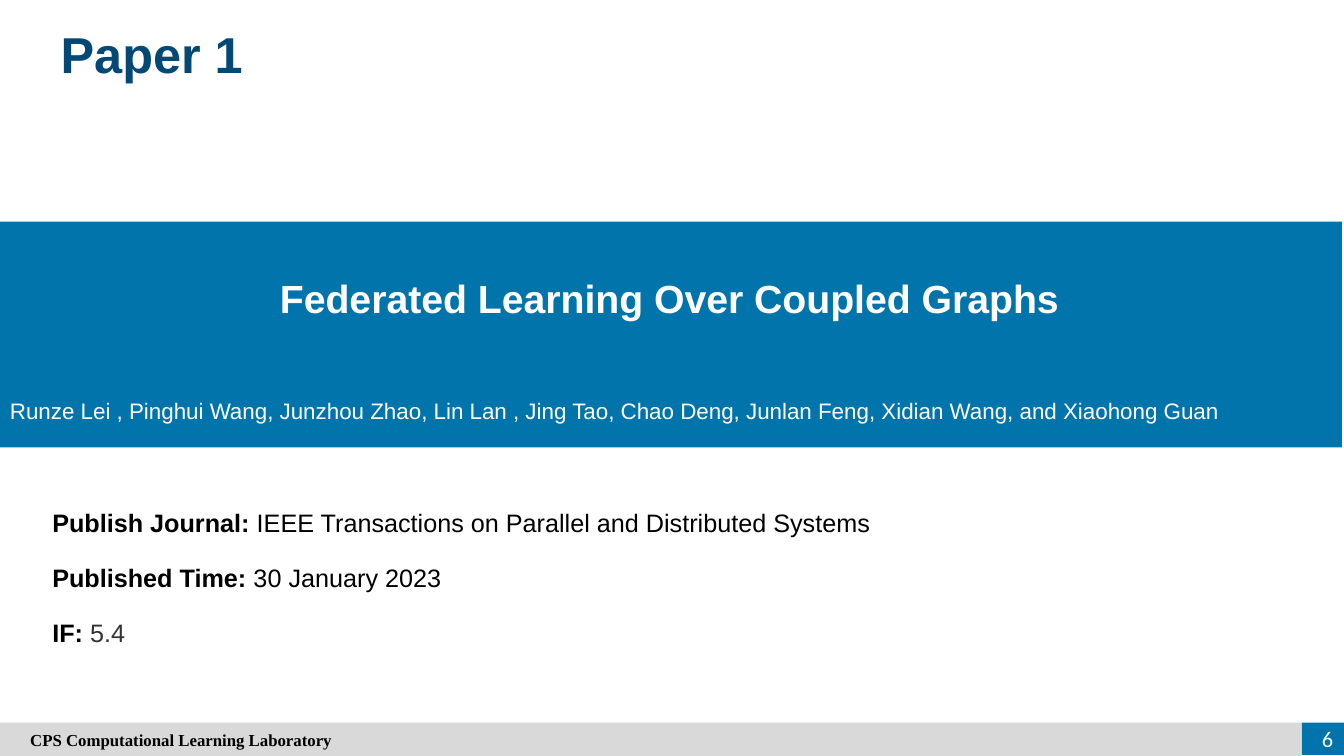
"""Build the slide that introduces the first paper."""
from dataclasses import dataclass

from pptx import Presentation
from pptx.dml.color import RGBColor
from pptx.enum.shapes import MSO_SHAPE
from pptx.enum.text import MSO_ANCHOR, PP_ALIGN
from pptx.util import Inches, Pt

WIDTH, HEIGHT = Inches(13.33), Inches(7.5)
TITLE_ONLY = 5


@dataclass(frozen=True)
class Theme:
    """Colours, fonts and type sizes of the slide."""
    blue: str = "0174AB"
    navy: str = "044875"
    grey: str = "D9D9D9"
    black: str = "000000"
    charcoal: str = "333333"
    white: str = "FFFFFF"
    sans: str = "Arial"
    serif: str = "Times New Roman"
    number_font: str = "Calibri"
    title_size: int = 36
    paper_size: int = 28
    fact_size: int = 18
    author_size: int = 16
    footer_size: int = 12


THEME = Theme()
FACTS = (
    ("Publish Journal: ", "IEEE Transactions on Parallel and Distributed Systems", THEME.black),
    ("Published Time: ", "30 January 2023", THEME.black),
    ("IF: ", "5.4", THEME.charcoal),
)
AUTHORS = ("Runze Lei , Pinghui Wang, Junzhou Zhao, Lin Lan , Jing Tao, Chao Deng, "
           "Junlan Feng, Xidian Wang, and Xiaohong Guan")


def place(left, top, width, height):
    """Turn percentages of the slide's size into lengths."""
    return (int(WIDTH * left / 100), int(HEIGHT * top / 100),
            int(WIDTH * width / 100), int(HEIGHT * height / 100))


def add_run(paragraph, text, size, color, bold=False, font=THEME.sans):
    """Append one formatted run to a paragraph."""
    run = paragraph.add_run()
    run.text = text
    run.font.name = font
    run.font.size = Pt(size)
    run.font.bold = bold
    run.font.color.rgb = RGBColor.from_string(color)


def prepare_text(shape, align=PP_ALIGN.LEFT, anchor=MSO_ANCHOR.TOP):
    """Set wrapping and alignment, and return the first paragraph."""
    frame = shape.text_frame
    frame.word_wrap = True
    frame.vertical_anchor = anchor
    paragraph = frame.paragraphs[0]
    paragraph.alignment = align
    return paragraph


def add_text(slide, box, align=PP_ALIGN.LEFT, anchor=MSO_ANCHOR.TOP):
    """Add a text box and return its paragraph."""
    return prepare_text(slide.shapes.add_textbox(*place(*box)), align, anchor)


def add_bar(slide, box, color):
    """Add a plain filled rectangle."""
    bar = slide.shapes.add_shape(MSO_SHAPE.RECTANGLE, *place(*box))
    bar.shadow.inherit = False
    bar.fill.solid()
    bar.fill.fore_color.rgb = RGBColor.from_string(color)
    bar.line.fill.background()
    return bar


def add_title(slide, text):
    """Place and fill the title placeholder."""
    title = slide.shapes.title
    title.left, title.top, title.width, title.height = place(2.85, 2.4, 16.88, 9.47)
    paragraph = prepare_text(title, PP_ALIGN.CENTER)
    add_run(paragraph, text, THEME.title_size, THEME.navy, bold=True)


def add_paper_band(slide, paper, authors):
    """Add the blue band with the paper's name and authors."""
    add_bar(slide, (0, 29.33, 99.85, 29.87), THEME.blue)
    paragraph = add_text(slide, (0, 35.6, 99.6, 7.6), PP_ALIGN.CENTER, MSO_ANCHOR.MIDDLE)
    add_run(paragraph, paper, THEME.paper_size, THEME.white, bold=True)
    paragraph = add_text(slide, (0, 51.87, 99.85, 4.93))
    add_run(paragraph, authors, THEME.author_size, THEME.white)


def add_facts(slide, facts):
    """Add one labelled line per fact at equal steps."""
    for row, (label, value, color) in enumerate(facts):
        paragraph = add_text(slide, (3.15, 66.4 + row * 7.33, 86.4, 5.33))
        add_run(paragraph, label, THEME.fact_size, THEME.black, bold=True)
        add_run(paragraph, value, THEME.fact_size, color)


def add_footer(slide, owner, number):
    """Add the footer bar and the slide number."""
    add_bar(slide, (96.85, 95.6, 3.15, 4.27), THEME.blue)
    bar = add_bar(slide, (0, 95.6, 96.85, 4.4), THEME.grey)
    bar.text_frame.margin_left = Inches(0.3)
    paragraph = prepare_text(bar, anchor=MSO_ANCHOR.MIDDLE)
    add_run(paragraph, owner, THEME.footer_size, THEME.black, True, THEME.serif)
    paragraph = add_text(slide, (95.2, 95.07, 4.73, 5.33), PP_ALIGN.RIGHT, MSO_ANCHOR.MIDDLE)
    add_run(paragraph, number, THEME.author_size, THEME.white, font=THEME.number_font)


def main():
    """Build and save the presentation."""
    presentation = Presentation()
    presentation.slide_width, presentation.slide_height = WIDTH, HEIGHT
    slide = presentation.slides.add_slide(presentation.slide_layouts[TITLE_ONLY])
    add_title(slide, "Paper 1")
    add_paper_band(slide, "Federated Learning Over Coupled Graphs", AUTHORS)
    add_facts(slide, FACTS)
    add_footer(slide, "CPS Computational Learning Laboratory", "6")
    presentation.save("out.pptx")


if __name__ == "__main__":
    main()
